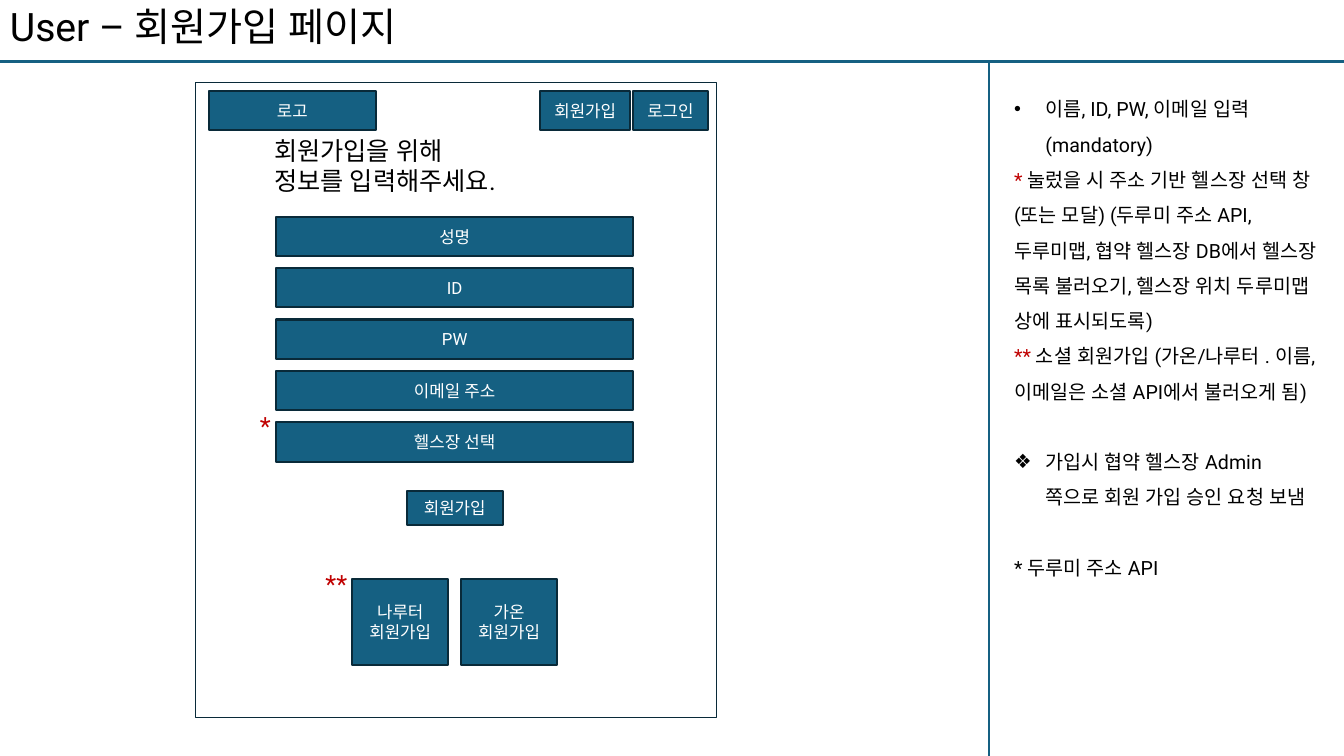
"""Build the sign-up page wireframe slide with its side notes."""
from dataclasses import dataclass

from lxml.etree import SubElement
from pptx import Presentation
from pptx.dml.color import RGBColor
from pptx.enum.shapes import MSO_CONNECTOR, MSO_SHAPE
from pptx.enum.text import MSO_ANCHOR, PP_ALIGN
from pptx.oxml.ns import qn
from pptx.util import Inches, Pt

RECT, LINE = MSO_SHAPE.RECTANGLE, MSO_CONNECTOR.STRAIGHT
TOP, MIDDLE = MSO_ANCHOR.TOP, MSO_ANCHOR.MIDDLE
LEFT, CENTER = PP_ALIGN.LEFT, PP_ALIGN.CENTER


@dataclass(frozen=True)
class Theme:
    """Colours, font and type sizes."""
    font: str = "Roboto"
    ink: str = "000000"
    paper: str = "FFFFFF"
    teal: str = "156082"
    edge: str = "092A39"
    red: str = "C00000"
    title: int = 28
    head: int = 18
    note: int = 14
    label: int = 12


T = Theme()
TITLE = "User – 회원가입 페이지"
PROMPT = ["회원가입을 위해", "정보를 입력해주세요."]
FIELDS = ["성명", "ID", "PW", "이메일 주소", "헬스장 선택"]
SOCIAL = [["나루터", "회원가입"], ["가온", "회원가입"]]
HEADER = [("로고", 2.07, 1.66), ("회원가입", 5.36, 0.89), ("로그인", 6.28, 0.74)]
SUBMIT = "회원가입"
NOTES = [
    ("•", 0, [("이름, ID, PW, 이메일 입력 (mandatory)", T.ink)]),
    (None, 0, [("* ", T.red),
               ("눌렀을 시 주소 기반 헬스장 선택 창 (또는 모달) (두루미 주소 API, "
                "두루미맵, 협약 헬스장 DB에서 헬스장 목록 불러오기, 헬스장 위치 "
                "두루미맵 상에 표시되도록)", T.ink)]),
    (None, 0, [("** ", T.red),
               ("소셜 회원가입 (가온/나루터 . 이름, 이메일은 소셜 API에서 "
                "불러오게 됨)", T.ink)]),
    ("❖", 25, [("가입시 협약 헬스장 Admin 쪽으로 회원 가입 승인 요청 보냄", T.ink)]),
    (None, 25, [("* 두루미 주소 API", T.ink)]),
]

WIDE, HIGH = 13.33, 7.5
RULE, SPLIT = 0.61, 9.81
FRAME = (1.94, 0.82, 5.17, 6.3)
MID = 4.51
BAR = 0.39
HEAD_TOP = 0.9
FIELD_W, FIELD_TOP, STEP = 3.54, 2.15, 0.51
BTN_W, BTN_H, BTN_TOP = 0.95, 0.34, 4.87
TILE_H, TILE_TOP, GAP = 0.86, 5.74, 0.13
INDENT = 0.31


def color(code):
    return RGBColor.from_string(code)


def add_run(para, text, size, tint):
    run = para.add_run()
    run.text = text
    run.font.name = T.font
    run.font.size = Pt(size)
    run.font.color.rgb = color(tint)
    SubElement(run.font._element, qn("a:ea")).set("typeface", T.font)


def fill_text(frame, paras, size, align=LEFT, anchor=TOP, wrap=True):
    frame.word_wrap = wrap
    frame.vertical_anchor = anchor
    for i, runs in enumerate(paras):
        para = frame.add_paragraph() if i else frame.paragraphs[0]
        para.alignment = align
        for text, tint in runs:
            add_run(para, text, size, tint)


def add_text(slide, box, paras, size, **look):
    frame = slide.shapes.add_textbox(*map(Inches, box)).text_frame
    fill_text(frame, paras, size, **look)
    return frame


def add_box(slide, box, fill, width, lines=()):
    shape = slide.shapes.add_shape(RECT, *map(Inches, box))
    shape.shadow.inherit = False
    shape.fill.solid()
    shape.fill.fore_color.rgb = color(fill)
    shape.line.color.rgb = color(T.edge)
    shape.line.width = Pt(width)
    fill_text(shape.text_frame, [[(line, T.paper)] for line in lines],
              T.label, align=CENTER, anchor=MIDDLE)


def add_line(slide, *ends):
    line = slide.shapes.add_connector(LINE, *map(Inches, ends))
    line.line.color.rgb = color(T.teal)
    line.line.width = Pt(1.5)
    SubElement(line._element.spPr, qn("a:effectLst"))


def add_bullet(para, mark):
    props = para._p.get_or_add_pPr()
    props.set("marL", str(Inches(INDENT)))
    props.set("indent", str(-Inches(INDENT)))
    SubElement(props, qn("a:buFont")).set("typeface", "Arial")
    SubElement(props, qn("a:buChar")).set("char", mark)


def add_notes(slide):
    frame = add_text(slide, (9.96, 0.8, 3.2, 5.72),
                     [runs for _, _, runs in NOTES], T.note)
    for para, (mark, space, _) in zip(frame.paragraphs, NOTES):
        para.line_spacing = 1.5
        para.space_before = Pt(space)
        if mark:
            add_bullet(para, mark)


def add_page(slide):
    add_box(slide, FRAME, T.paper, 0.75)
    boxes = [((x, HEAD_TOP, w, BAR), [text]) for text, x, w in HEADER]
    boxes += [((MID - FIELD_W / 2, FIELD_TOP + i * STEP, FIELD_W, BAR), [text])
              for i, text in enumerate(FIELDS)]
    boxes.append(((MID - BTN_W / 2, BTN_TOP, BTN_W, BTN_H), [SUBMIT]))
    start = MID - BTN_W - GAP / 2
    boxes += [((start + i * (BTN_W + GAP), TILE_TOP, BTN_W, TILE_H), lines)
              for i, lines in enumerate(SOCIAL)]
    for box, lines in boxes:
        add_box(slide, box, T.teal, 1.5, lines)
    add_text(slide, (2.62, 1.29, 2.6, 0.71),
             [[(line, T.ink)] for line in PROMPT], T.head, wrap=False)
    for mark, box in (("*", (2.48, 4.02, 0.32, 0.4)),
                      ("**", (3.13, 5.59, 0.43, 0.4))):
        add_text(slide, box, [[(mark, T.red)]], T.head, wrap=False)


def main():
    deck = Presentation()
    deck.slide_width, deck.slide_height = Inches(WIDE), Inches(HIGH)
    slide = deck.slides.add_slide(deck.slide_layouts[6])
    title = add_text(slide, (0, 0.02, WIDE, 0.54), [[(TITLE, T.ink)]],
                     T.title, anchor=MIDDLE)
    title.paragraphs[0].line_spacing = 0.9
    add_line(slide, 0, RULE, WIDE, RULE)
    add_line(slide, SPLIT, RULE, SPLIT, HIGH)
    add_notes(slide)
    add_page(slide)
    deck.save("out.pptx")


if __name__ == "__main__":
    main()
